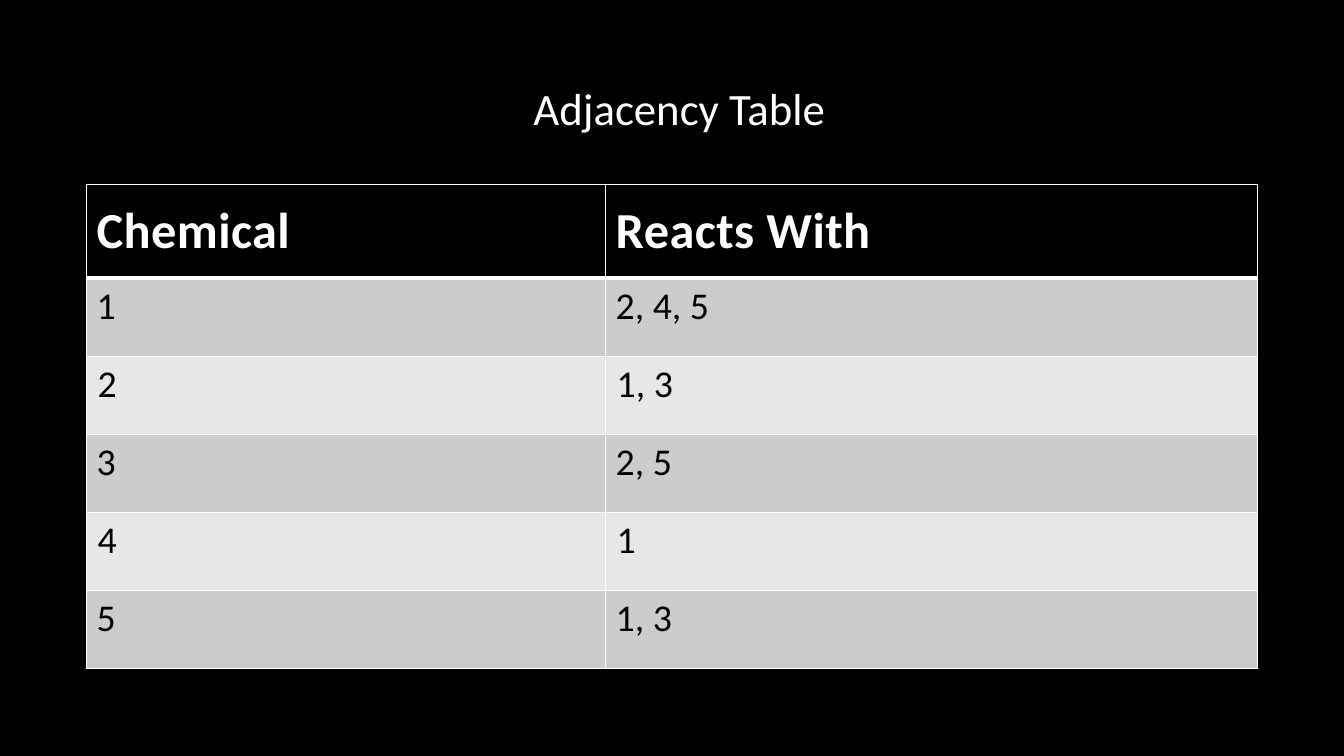
from dataclasses import dataclass

from lxml import etree
from pptx import Presentation
from pptx.dml.color import RGBColor
from pptx.enum import text
from pptx.oxml import ns
from pptx.util import Pt


@dataclass(frozen=True)
class Theme:
    font: str = "Calibri"
    background: str = "000000"
    light: str = "FFFFFF"
    dark: str = "000000"
    bands: tuple = ("CCCCCC", "E7E7E7")
    title_size: float = 32
    header_size: float = 36
    body_size: float = 27
    rule: float = 0.96
    header_rule: float = 3


def write_text(frame, content, *, font, size, color, bold=False, spacing=0,
               align=text.PP_ALIGN.LEFT, line_spacing=1.0):
    paragraph = frame.paragraphs[0]
    paragraph.alignment = align
    paragraph.line_spacing = line_spacing
    run = paragraph.add_run()
    run.text = content
    run.font.name = font
    run.font.size = Pt(size)
    run.font.bold = bold
    run.font.color.rgb = RGBColor.from_string(color)
    if spacing:
        run.font._element.set("spc", str(round(spacing * 100)))


class SlideBuilder:
    def __init__(self, slide, theme):
        self.slide = slide
        self.theme = theme

    def background(self):
        fill = self.slide.background.fill
        fill.solid()
        fill.fore_color.rgb = RGBColor.from_string(self.theme.background)

    def title(self, content, left, top, width, height):
        shape = self.slide.shapes.title
        shape.left, shape.top = Pt(left), Pt(top)
        shape.width, shape.height = Pt(width), Pt(height)
        frame = shape.text_frame
        frame.word_wrap = True
        frame.auto_size = text.MSO_AUTO_SIZE.NONE
        frame.vertical_anchor = text.MSO_ANCHOR.MIDDLE
        write_text(frame, content, font=self.theme.font, size=self.theme.title_size,
                   color=self.theme.light, align=text.PP_ALIGN.CENTER, line_spacing=0.9)

    def border(self, cell, side, width):
        properties = cell._tc.get_or_add_tcPr()
        line = etree.SubElement(properties, ns.qn(f"a:ln{side}"), w=str(Pt(width)))
        fill = etree.SubElement(line, ns.qn("a:solidFill"))
        etree.SubElement(fill, ns.qn("a:srgbClr"), val=self.theme.light)

    def cell(self, cell, content, row):
        theme = self.theme
        is_header = row == 0
        # Borders come before the fill in the cell properties
        for side in "LRTB":
            beside_header = (row, side) in ((0, "B"), (1, "T"))
            self.border(cell, side, theme.header_rule if beside_header else theme.rule)
        cell.fill.solid()
        fill_color = theme.background if is_header else theme.bands[(row - 1) % 2]
        cell.fill.fore_color.rgb = RGBColor.from_string(fill_color)
        # Even rows below the header are indented slightly more
        cell.margin_left = Pt(7.9 if row and row % 2 == 0 else 7.2)
        cell.margin_right = Pt(1.4 if is_header else 16.6)
        cell.margin_top = cell.margin_bottom = Pt(3.6)
        cell.vertical_anchor = text.MSO_ANCHOR.MIDDLE if is_header else text.MSO_ANCHOR.TOP
        write_text(cell.text_frame, content, font=theme.font, bold=is_header,
                   size=theme.header_size if is_header else theme.body_size,
                   color=theme.light if is_header else theme.dark,
                   spacing=0.3 if is_header else 0)

    def table(self, rows, left, top, column_widths, header_height, row_height):
        height = header_height + row_height * (len(rows) - 1)
        table = self.slide.shapes.add_table(
            len(rows), len(column_widths), Pt(left), Pt(top),
            Pt(sum(column_widths)), Pt(height)).table
        for column, width in zip(table.columns, column_widths):
            column.width = Pt(width)
        for index, values in enumerate(rows):
            table.rows[index].height = Pt(row_height if index else header_height)
            for column, content in enumerate(values):
                self.cell(table.cell(index, column), content, index)


def main():
    presentation = Presentation()
    presentation.slide_width, presentation.slide_height = Pt(960), Pt(540)
    title_only = presentation.slide_layouts[5]
    builder = SlideBuilder(presentation.slides.add_slide(title_only), Theme())

    # Background and title
    builder.background()
    builder.title("Adjacency Table", left=44, top=50.4, width=882.7, height=58.3)

    # Chemicals and their reaction partners
    reactions = [
        ("Chemical", "Reacts With"),
        ("1", "2, 4, 5"),
        ("2", "1, 3"),
        ("3", "2, 5"),
        ("4", "1"),
        ("5", "1, 3"),
    ]
    builder.table(reactions, left=61.8, top=131.8, column_widths=(370.8, 465.8),
                  header_height=66.8, row_height=55.8)

    presentation.save("out.pptx")


if __name__ == "__main__":
    main()
